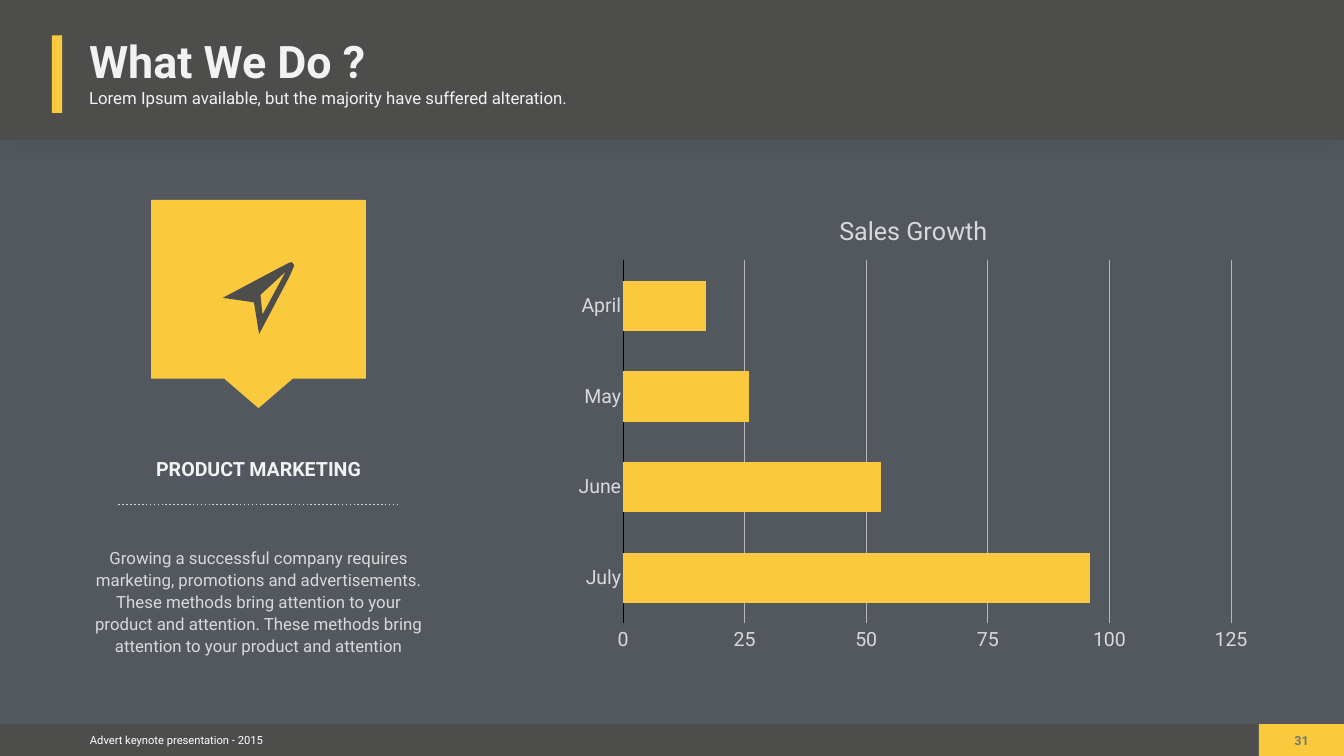
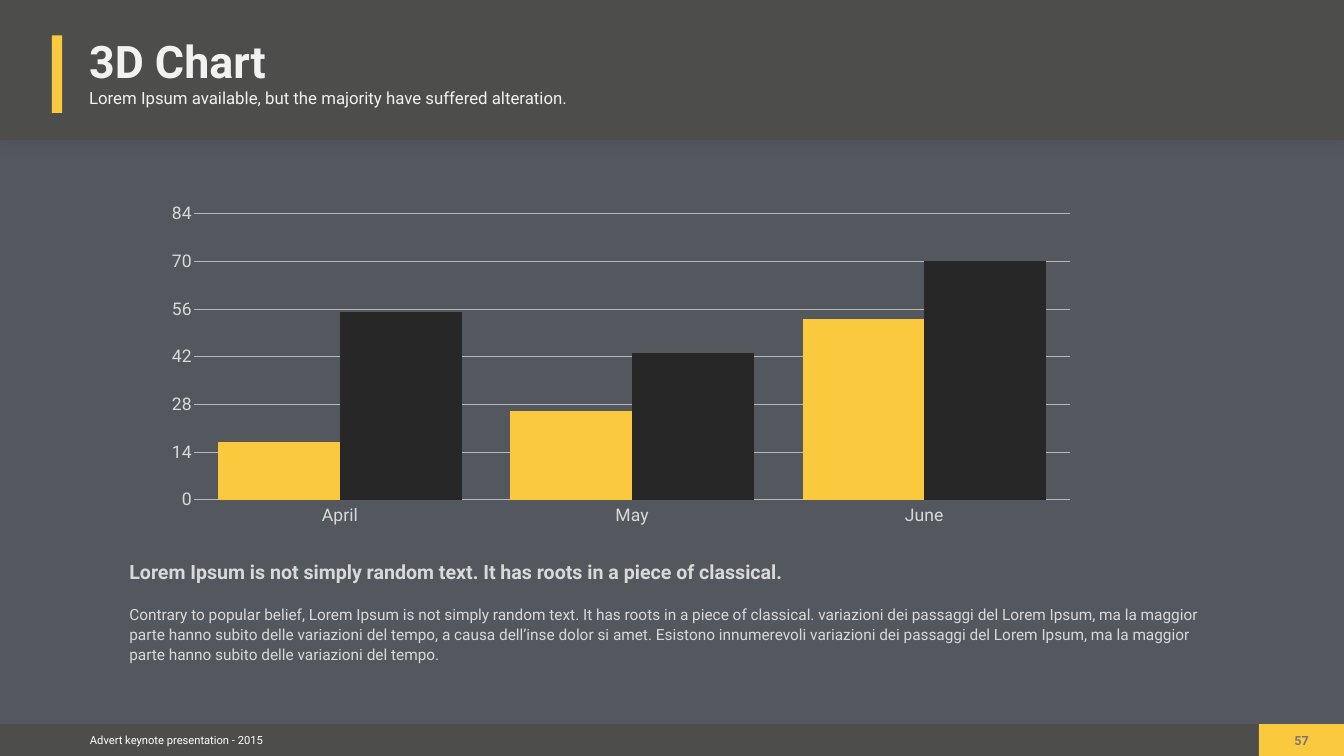
"""Build two advert slides with a shared frame, a bar chart and a column chart."""
import dataclasses
import typing

import lxml.etree
import pptx
import pptx.chart.data
import pptx.dml.color
import pptx.enum.chart
import pptx.enum.shapes
import pptx.enum.text
import pptx.oxml.ns
import pptx.util

Cm = pptx.util.Cm
Pt = pptx.util.Pt
qn = pptx.oxml.ns.qn
ALIGN = pptx.enum.text.PP_ALIGN
ANCHOR = pptx.enum.text.MSO_ANCHOR
KIND = pptx.enum.chart.XL_CHART_TYPE
LABEL = pptx.enum.chart.XL_TICK_LABEL_POSITION

FONT = "Roboto"
SLATE, STONE, GOLD, INK = "53585F", "4D4E4C", "FAC93D", "262726"
WHITE, PALE, SOFT, GRID, DIM = "FFFFFF", "F2F2F2", "D9D9D9", "B8B8B8", "777776"
WIDE, HIGH = 67.74, 38.1
FOOT = 36.5


class Place(typing.NamedTuple):
    """Left, top, width and height in centimetres, or as fractions of a chart."""
    left: float
    top: float
    width: float
    height: float

    def cm(self) -> list:
        """Give the four lengths as Cm."""
        return [Cm(side) for side in self]


@dataclasses.dataclass
class Band:
    """A plain filled rectangle of the frame."""
    place: Place
    color: str
    shade: bool = False


@dataclasses.dataclass
class Graph:
    """Data and looks of one bar or column chart."""
    place: Place
    kind: typing.Any
    cats: list
    rows: list
    size: float
    top: int
    step: int
    gap: int
    lap: int
    plot: Place
    title: str = ""


BANDS = [
    Band(Place(0, 0, WIDE, 7.06), STONE, shade=True),
    Band(Place(0, FOOT, WIDE, 1.6), STONE),
    Band(Place(63.45, FOOT, 4.29, 1.6), GOLD),
    Band(Place(2.62, 1.78, 0.51, 3.91), GOLD),
]
BADGE = [[(7.62, 10.08), (7.62, 19.08), (11.3, 19.08), (13.03, 20.57),
          (14.76, 19.08), (18.44, 19.08), (18.44, 10.08)]]
PLANE = [
    [(13.23, 15.85), (13.13, 14.86), (14.4, 13.69)],
    [(14.78, 13.28), (14.7, 13.21), (14.58, 13.24), (14.15, 13.46), (11.23, 15.01),
     (12.8, 15.24), (13.06, 16.84), (14.6, 13.92), (14.78, 13.51), (14.83, 13.39)],
]
SALES = Graph(
    Place(28.3, 10.08, 34.57, 23.44), KIND.BAR_CLUSTERED,
    ["April", "May", "June", "July"], [("Series 1", [17, 26, 53, 96], GOLD)],
    28, 125, 25, 80, -10, Place(0.09, 0.13, 0.89, 0.78), "Sales Growth")
PAIRS = Graph(
    Place(8.66, 10.24, 45.31, 16.23), KIND.COLUMN_CLUSTERED,
    ["April", "May", "June"],
    [("Series 1", [17, 26, 53], GOLD), ("Series 2", [55, 43, 70], INK)],
    25.2, 84, 14, 40, 0, Place(0.02, 0.03, 0.98, 0.9))


def tone(code: str) -> pptx.dml.color.RGBColor:
    """Turn a hex string into a colour."""
    return pptx.dml.color.RGBColor.from_string(code)


def paint(fill, code: str) -> None:
    """Give a fill one solid colour."""
    fill.solid()
    fill.fore_color.rgb = tone(code)


def style(font, size: float, color: str, bold: bool = False) -> None:
    """Set face, size, colour and weight of a font."""
    font.name, font.size, font.bold = FONT, Pt(size), bold
    font.color.rgb = tone(color)


def write(frame, text: str, *, size: float, color: str = SOFT, bold: bool = False,
          align=ALIGN.LEFT, line: float = 1.0, before: float = 0) -> None:
    """Put a formatted paragraph at the end of a text frame."""
    para = frame.add_paragraph() if frame.text else frame.paragraphs[0]
    para.alignment, para.line_spacing = align, line
    if before:
        para.space_before = Pt(before)
    run = para.add_run()
    run.text = text
    style(run.font, size, color, bold)


def setup(shape, place: Place, anchor=ANCHOR.TOP, wrap: bool = True):
    """Place a text shape and give back its frame."""
    shape.left, shape.top, shape.width, shape.height = place.cm()
    frame = shape.text_frame
    frame.margin_left = frame.margin_right = Cm(0.2)
    frame.margin_top = frame.margin_bottom = Cm(0.2)
    frame.vertical_anchor, frame.word_wrap = anchor, wrap
    frame.auto_size = pptx.enum.text.MSO_AUTO_SIZE.SHAPE_TO_FIT_TEXT
    return frame


def box(slide, place: Place, **kind):
    """Add a text box and give back its frame."""
    return setup(slide.shapes.add_textbox(*place.cm()), place, **kind)


def plain(shape, color: str) -> None:
    """Fill a shape and take off its line and shadow."""
    paint(shape.fill, color)
    shape.line.fill.background()
    shape.shadow.inherit = False


def shade(shape) -> None:
    """Add a faint soft shadow below a shape."""
    effect = shape.element.spPr.find(qn("a:effectLst"))
    outer = lxml.etree.SubElement(effect, qn("a:outerShdw"), blurRad=str(Pt(26)),
                                  dist=str(Pt(2)), dir="5400000", rotWithShape="0")
    color = lxml.etree.SubElement(outer, qn("a:srgbClr"), val="000000")
    lxml.etree.SubElement(color, qn("a:alpha"), val="5000")


def dress(layout, slide) -> None:
    """Build the frame shared by all slides and move it to the layout."""
    for holder in list(layout.placeholders):
        if holder.placeholder_format.idx:
            holder.element.getparent().remove(holder.element)
    start = len(slide.shapes)
    for band in BANDS:
        shape = slide.shapes.add_shape(
            pptx.enum.shapes.MSO_SHAPE.RECTANGLE, *band.place.cm())
        plain(shape, band.color)
        if band.shade:
            shade(shape)
    foot = box(slide, Place(4.26, 36.73, 9.27, 1.14), anchor=ANCHOR.MIDDLE, wrap=False)
    write(foot, "Advert keynote presentation - 2015", size=16, color=WHITE,
          align=ALIGN.CENTER)
    for shape in list(slide.shapes)[start:]:
        layout.element.cSld.spTree.append(shape.element)


def head(slide, title: str, width: float, page: str) -> None:
    """Write title, subtitle and page number."""
    frame = setup(slide.shapes.title, Place(4.29, 1.5, width, 3.12),
                  ANCHOR.MIDDLE, False)
    write(frame, title, size=64, color=PALE, bold=True)
    write(box(slide, Place(4.29, 4.24, 27.28, 1.42)),
          "Lorem Ipsum available, but the majority have suffered alteration.",
          size=24, color=PALE)
    write(box(slide, Place(65.02, 36.75, 1.17, 1.24), wrap=False), page,
          size=18, color=DIM, bold=True, align=ALIGN.CENTER)


def trace(slide, loops: list, color: str) -> None:
    """Draw closed outlines as one filled shape."""
    paths = [[(Cm(x), Cm(y)) for x, y in loop] for loop in loops]
    pen = slide.shapes.build_freeform(*paths[0][0])
    for turn, path in enumerate(paths):
        if turn:
            pen.move_to(*path[0])
        pen.add_line_segments(path[1:], close=True)
    plain(pen.convert_to_shape(), color)


def rule(slide, left: float, right: float, top: float) -> None:
    """Draw a dotted level line."""
    line = slide.shapes.add_connector(pptx.enum.shapes.MSO_CONNECTOR.STRAIGHT,
                                      Cm(left), Cm(top), Cm(right), Cm(top))
    line.line.color.rgb = tone(SOFT)
    line.line.width = Pt(2.25)
    shape = line.element.spPr
    dash = lxml.etree.SubElement(shape.find(qn("a:ln")), qn("a:custDash"))
    lxml.etree.SubElement(dash, qn("a:ds"), d="100000", sp="150000")
    lxml.etree.SubElement(shape, qn("a:effectLst"))


def fix(part, spot: int, **sides) -> None:
    """Pin a chart part at fractions of the chart."""
    for old in part.findall(qn("c:layout")):
        part.remove(old)
    outer = lxml.etree.Element(qn("c:layout"))
    part.insert(spot, outer)
    inner = lxml.etree.SubElement(outer, qn("c:manualLayout"))
    for name, value in sides.items():
        lxml.etree.SubElement(inner, qn("c:" + name), val=str(value))


def draw(slide, graph: Graph):
    """Add a chart with its axes, colours and title."""
    data = pptx.chart.data.CategoryChartData()
    data.categories = graph.cats
    for name, values, _ in graph.rows:
        data.add_series(name, values)
    chart = slide.shapes.add_chart(graph.kind, *graph.place.cm(), data).chart
    style(chart.font, 10, WHITE)
    chart.has_legend = False
    chart.has_title = bool(graph.title)
    if graph.title:
        write(chart.chart_title.text_frame, graph.title, size=36)
        chart.chart_title.include_in_layout = True
        fix(chart.element.find(".//" + qn("c:title")), 1,
            xMode="edge", yMode="edge", x=0.4, y=0.02)
    plot = chart.plots[0]
    plot.gap_width, plot.overlap, plot.vary_by_categories = graph.gap, graph.lap, False
    for series, row in zip(plot.series, graph.rows):
        paint(series.format.fill, row[2])
    for axis in (chart.category_axis, chart.value_axis):
        axis.major_tick_mark = axis.minor_tick_mark = pptx.enum.chart.XL_TICK_MARK.NONE
        axis.format.line.fill.background()
        style(axis.tick_labels.font, graph.size, SOFT)
    scale = chart.value_axis
    scale.minimum_scale, scale.maximum_scale = 0, graph.top
    scale.major_unit = graph.step
    scale.major_gridlines.format.line.color.rgb = tone(GRID)
    scale.major_gridlines.format.line.width = Pt(1)
    area = graph.plot
    fix(chart.element.find(".//" + qn("c:plotArea")), 0, layoutTarget="inner",
        xMode="edge", yMode="edge", x=area.left, y=area.top, w=area.width, h=area.height)
    return chart


def work(slide) -> None:
    """Fill the slide on sales growth."""
    head(slide, "What We Do ?", 14.58, "31")
    trace(slide, BADGE, GOLD)
    write(box(slide, Place(7.62, 22.61, 10.82, 1.73)), "PRODUCT MARKETING",
          size=28, color=PALE, bold=True, align=ALIGN.CENTER, line=1.2)
    rule(slide, 5.97, 20.09, 25.43)
    write(box(slide, Place(4.29, 27.25, 17.48, 6.05), anchor=ANCHOR.MIDDLE),
          "Growing a successful company requires marketing, promotions and "
          "advertisements. These methods bring attention to your product and "
          "attention. These methods bring attention to your product and attention",
          size=24, align=ALIGN.CENTER, line=1.1)
    chart = draw(slide, SALES)
    chart.value_axis.tick_label_position = LABEL.HIGH
    axis = chart.category_axis
    axis.reverse_order = True
    axis.format.line.color.rgb = tone("000000")
    axis.format.line.width = Pt(1)
    trace(slide, PLANE, STONE)


def pair(slide) -> None:
    """Fill the slide with two series of columns."""
    head(slide, "3D Chart", 9.32, "57")
    draw(slide, PAIRS).category_axis.tick_label_position = LABEL.LOW
    frame = box(slide, Place(6.32, 28.02, 55.19, 5.74))
    write(frame, "Lorem Ipsum is not simply random text. It has roots in a piece "
          "of classical.", size=28, bold=True)
    write(frame, "Contrary to popular belief, Lorem Ipsum is not simply random text. "
          "It has roots in a piece of classical. variazioni dei passaggi del Lorem "
          "Ipsum, ma la maggior parte hanno subito delle variazioni del tempo, a causa "
          "dell’inse dolor si amet. Esistono innumerevoli variazioni dei passaggi del "
          "Lorem Ipsum, ma la maggior parte hanno subito delle variazioni del tempo.",
          size=22, line=1.1, before=28)


def main() -> None:
    """Build and save the slides."""
    deck = pptx.Presentation()
    deck.slide_width, deck.slide_height = Cm(WIDE), Cm(HIGH)
    paint(deck.slide_master.background.fill, SLATE)
    layout = deck.slide_layouts.get_by_name("Title Only")
    first, second = [deck.slides.add_slide(layout) for _ in range(2)]
    dress(layout, first)
    work(first)
    pair(second)
    deck.save("out.pptx")


if __name__ == "__main__":
    main()
